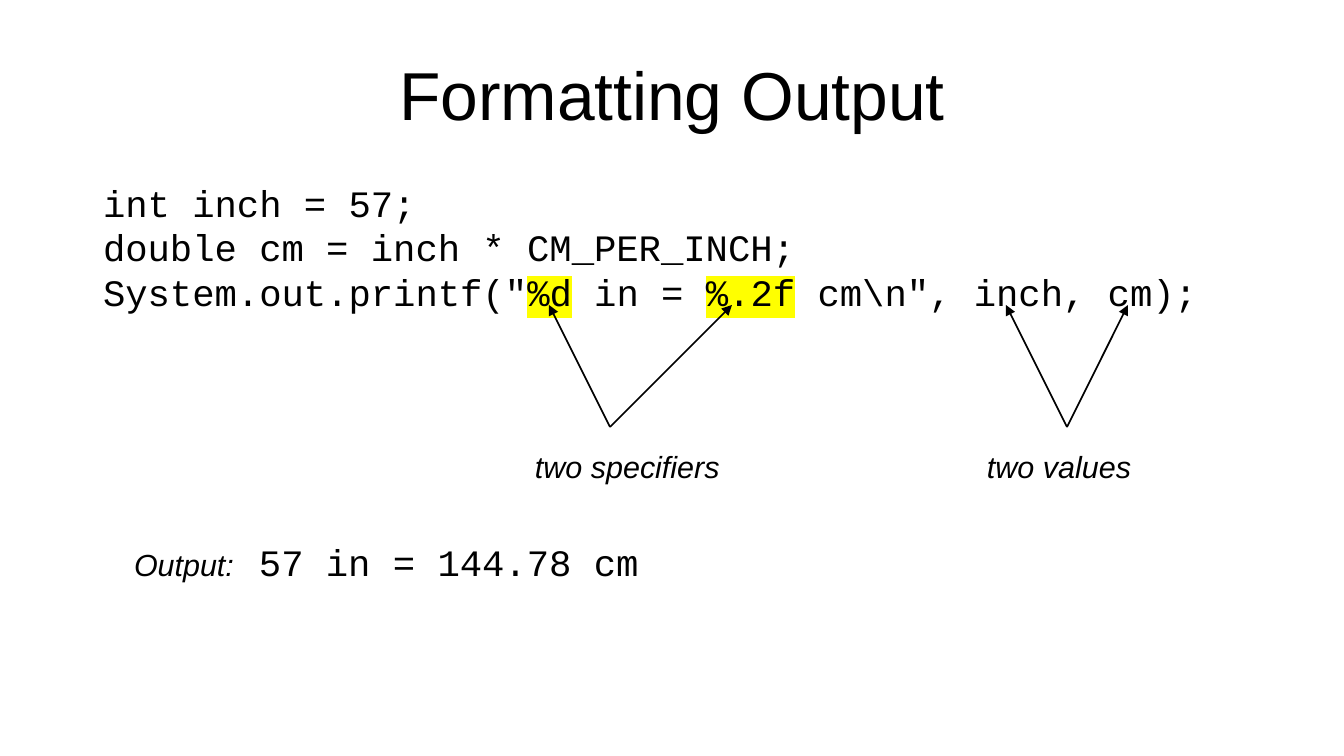
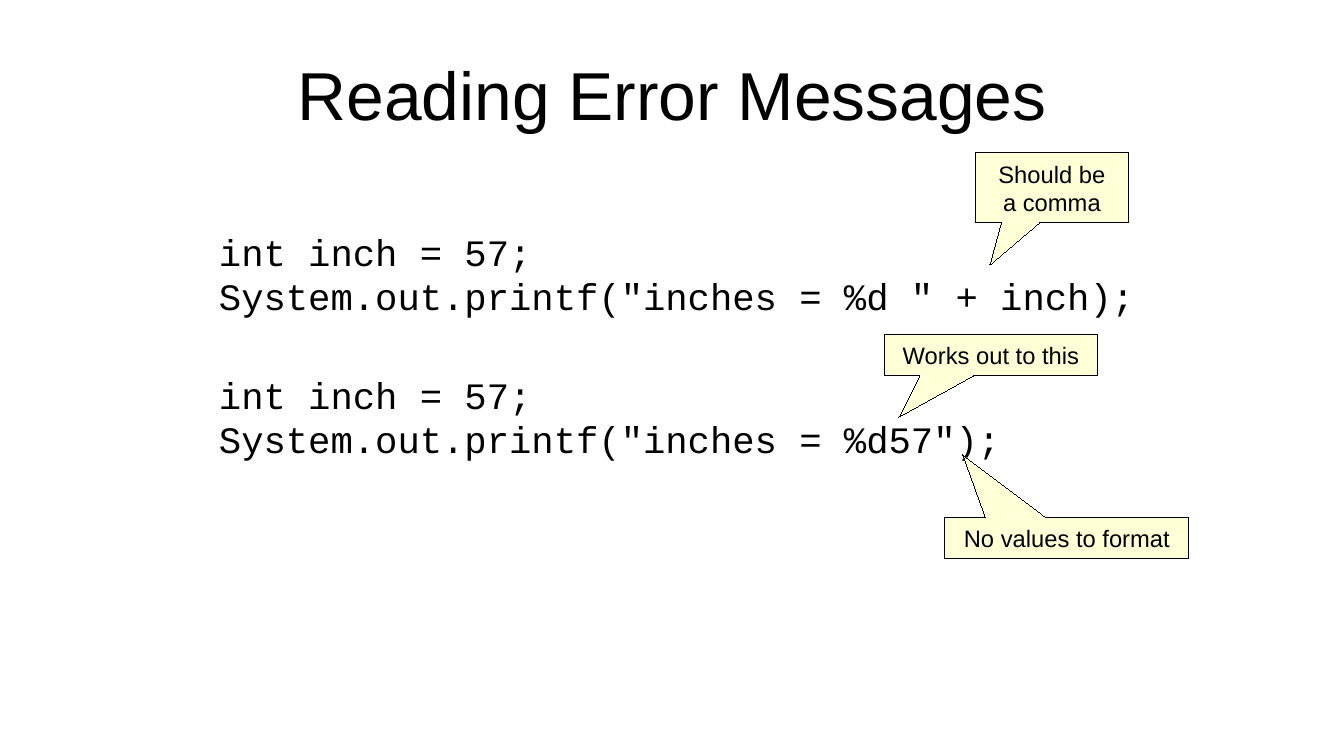
from lxml import etree
from pptx import Presentation
from pptx import util as u
from pptx.dml.color import RGBColor
from pptx.enum import shapes, text
from pptx.oxml import ns

SCALE = 914400 / 122  # EMU in one px
PAGE_SIZE = (1344, 756)
BLACK = RGBColor(0, 0, 0)
CREAM = RGBColor(0xFF, 0xFF, 0xD7)
YELLOW = RGBColor(0xFF, 0xFF, 0)

# Text styles
TITLE = {"name": "Arial", "size": 40}
CODE = {"name": "Courier New", "size": 22}
MARKED = {**CODE, "highlight": YELLOW}
LABEL = {"name": "Arial", "size": 18, "italic": True}
NOTE = {"name": "Arial", "size": 14}

INSETS = {"margin_left": 12, "margin_right": 12, "margin_top": 6, "margin_bottom": 6}
NO_INSETS = dict.fromkeys(INSETS, 0)
TITLE_BOX = (67, 30, 1210, 127)
OUTPUT_TAB = 125

# Content: a block is (box, wraps, paragraphs); a paragraph is a list of (words, style)
PAGES = [
    {
        "title": "Formatting Output",
        "blocks": [
            ((91, 174, 1190, 161), True, [
                [("int inch = 57;", CODE)],
                [("double cm = inch * CM_PER_INCH;", CODE)],
                [('System.out.printf("', CODE), ("%d", MARKED), (" in = ", CODE),
                 ("%.2f", MARKED), (' cm\\n", inch, cm);', CODE)],
            ]),
            ((523, 442, 212, 46), False, [[("two specifiers", LABEL)]]),
            ((975, 442, 172, 46), False, [[("two values", LABEL)]]),
            ((122, 533, 536, 54), False,
             [[("Output:\t", LABEL), ("57 in = 144.78 cm", CODE)]]),
        ],
        # Each fork: the shared foot, then the tips
        "forks": [
            ((610, 427), [(549, 305), (732, 305)]),
            ((1067, 427), [(1006, 305), (1128, 305)]),
        ],
    },
    {
        "title": "Reading Error Messages",
        "blocks": [
            ((207, 223, 944, 96), False, [
                [("int inch = 57;", CODE)],
                [('System.out.printf("inches = %d " + inch);', CODE)],
            ]),
            ((207, 366, 810, 96), False, [
                [("int inch = 57;", CODE)],
                [('System.out.printf("inches = %d57");', CODE)],
            ]),
        ],
        # Each callout: box, tip, lines
        "callouts": [
            ((976, 153, 152, 70), (990, 265), ["Should be", "a comma"]),
            ((884, 335, 214, 41), (899, 417), ["Works out to this"]),
            ((945, 518, 244, 41), (963, 455), ["No values to format"]),
        ],
    },
]


def px(*lengths):
    return [u.Emu(round(length * SCALE)) for length in lengths]


def set_all(target, values):
    for name, value in values.items():
        setattr(target, name, value)


def highlight(span, color):
    fill = span.font.fill._xPr.find(ns.qn("a:solidFill"))
    mark = etree.Element(ns.qn("a:highlight"))
    etree.SubElement(mark, ns.qn("a:srgbClr"), val=str(color))
    fill.addnext(mark)


def add_tab_stop(para, position):
    stops = etree.SubElement(para._p.get_or_add_pPr(), ns.qn("a:tabLst"))
    etree.SubElement(stops, ns.qn("a:tab"), pos=str(px(position)[0]), algn="l")


def write(frame, paragraphs, align, insets=INSETS, **settings):
    set_all(frame, {name: px(inset)[0] for name, inset in insets.items()})
    set_all(frame, settings)
    for number, spans in enumerate(paragraphs):
        para = frame.add_paragraph() if number else frame.paragraphs[0]
        para.alignment = align
        if any("\t" in words for words, _ in spans):
            add_tab_stop(para, OUTPUT_TAB)
        for words, style in spans:
            span = para.add_run()
            span.text = words
            set_all(span.font, {"name": style["name"], "size": u.Pt(style["size"]),
                                "italic": style.get("italic", False)})
            span.font.color.rgb = BLACK
            if "highlight" in style:
                highlight(span, style["highlight"])


def add_title(page, words):
    box = page.shapes.add_textbox(*px(*TITLE_BOX))
    write(box.text_frame, [[(words, TITLE)]], text.PP_ALIGN.CENTER, NO_INSETS,
          word_wrap=True, vertical_anchor=text.MSO_ANCHOR.MIDDLE)


def add_block(page, place, wraps, paragraphs):
    box = page.shapes.add_textbox(*px(*place))
    write(box.text_frame, paragraphs, text.PP_ALIGN.LEFT, word_wrap=wraps,
          auto_size=text.MSO_AUTO_SIZE.SHAPE_TO_FIT_TEXT)


def add_arrow(page, start, end):
    arrow = page.shapes.add_connector(shapes.MSO_CONNECTOR.STRAIGHT, *px(*start, *end))
    arrow.line.color.rgb = BLACK
    arrow.line.width = u.Pt(1)
    etree.SubElement(arrow.line._get_or_add_ln(), ns.qn("a:tailEnd"), type="triangle")
    etree.SubElement(arrow._element.spPr, ns.qn("a:effectLst"))


def add_callout(page, place, tip, lines):
    left, top, width, height = place
    callout = page.shapes.add_shape(shapes.MSO_SHAPE.RECTANGULAR_CALLOUT, *px(*place))
    callout.shadow.inherit = False
    callout.adjustments[0] = (tip[0] - left) / width - 0.5
    callout.adjustments[1] = (tip[1] - top) / height - 0.5
    callout.fill.solid()
    callout.fill.fore_color.rgb = CREAM
    callout.line.color.rgb = BLACK
    callout.line._get_or_add_ln().set("w", "0")  # hairline
    write(callout.text_frame, [[(line, NOTE)] for line in lines], text.PP_ALIGN.CENTER,
          word_wrap=False, vertical_anchor=text.MSO_ANCHOR.MIDDLE)


def main():
    deck = Presentation()
    deck.slide_width, deck.slide_height = px(*PAGE_SIZE)
    for content in PAGES:
        page = deck.slides.add_slide(deck.slide_layouts[6])
        add_title(page, content["title"])
        for block in content["blocks"]:
            add_block(page, *block)
        for foot, tips in content.get("forks", []):
            for tip in tips:
                add_arrow(page, foot, tip)
        for callout in content.get("callouts", []):
            add_callout(page, *callout)
    deck.save("out.pptx")


if __name__ == "__main__":
    main()
